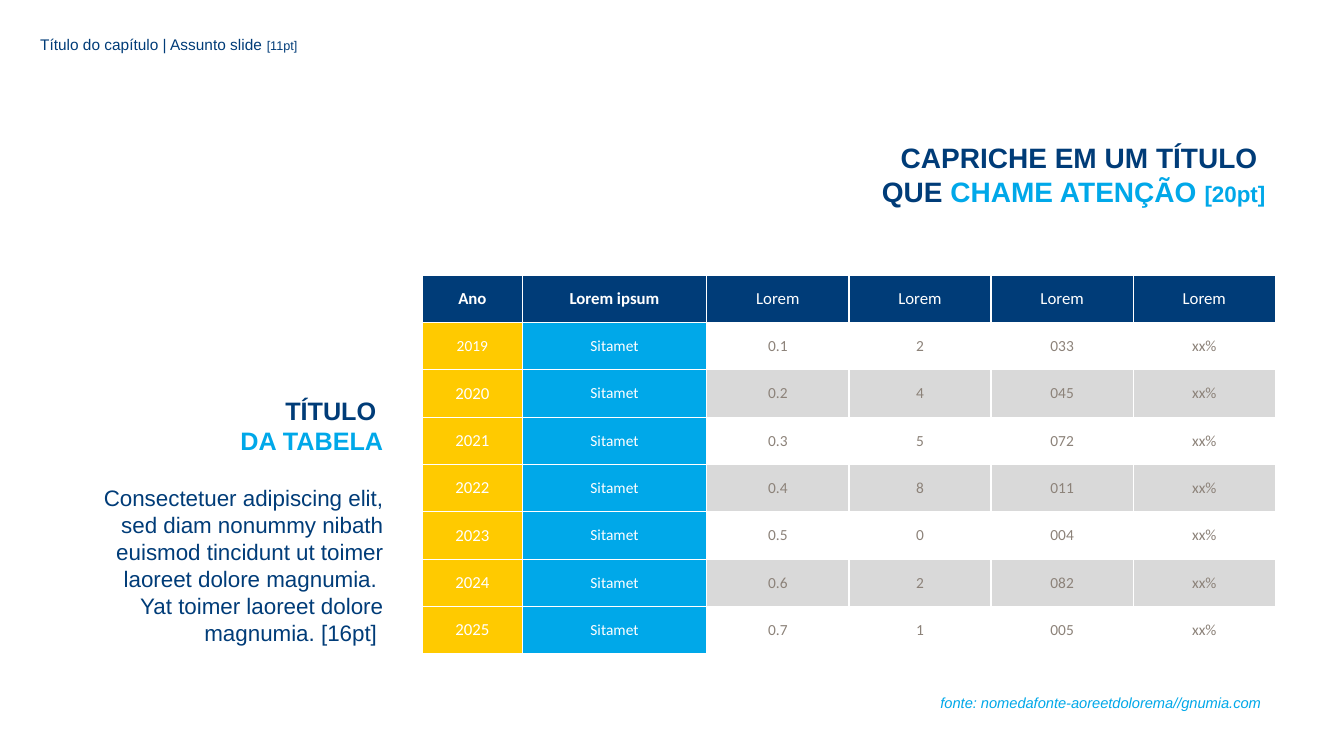
from typing import NamedTuple

from pptx import Presentation
from pptx import util as u
from pptx.dml.color import RGBColor
from pptx.enum import text

PX = 9144  # 100 px to the inch
NAVY, CYAN, YELLOW = "003C78", "00A8E9", "FFCA00"
WHITE, SILVER, TAUPE = "FFFFFF", "D9D9D9", "8C8279"
LEFT, CENTER, RIGHT = text.PP_ALIGN.LEFT, text.PP_ALIGN.CENTER, text.PP_ALIGN.RIGHT


class Style(NamedTuple):
    size: float
    color: str
    bold: bool = False
    italic: bool = False
    face: str = "Arial"


class Piece(NamedTuple):
    words: str
    style: Style


class Line(NamedTuple):
    pieces: list[Piece]
    before: float = 0


class Block(NamedTuple):
    box: tuple[int, int, int, int]
    lines: list[Line]
    align: text.PP_ALIGN = RIGHT
    spacing: float | None = None
    wrap: bool = True


def px(length: int) -> u.Emu:
    return u.Emu(length * PX)


def rgb(color: str) -> RGBColor:
    return RGBColor.from_string(color)


def format_run(run, style: Style) -> None:
    font = run.font
    font.name, font.size = style.face, u.Pt(style.size)
    font.bold, font.italic = style.bold, style.italic
    font.color.rgb = rgb(style.color)


def write(shape, block: Block) -> None:
    shape.left, shape.top, shape.width, shape.height = map(px, block.box)
    frame = shape.text_frame
    frame.word_wrap = block.wrap
    frame.auto_size = text.MSO_AUTO_SIZE.SHAPE_TO_FIT_TEXT
    frame.vertical_anchor = text.MSO_ANCHOR.TOP
    for index, line in enumerate(block.lines):
        paragraph = frame.add_paragraph() if index else frame.paragraphs[0]
        paragraph.alignment = block.align
        if block.spacing:
            paragraph.line_spacing = u.Pt(block.spacing)
        if line.before:
            paragraph.space_before = u.Pt(line.before)
        for piece in line.pieces:
            run = paragraph.add_run()
            run.text = piece.words
            format_run(run, piece.style)


def fill_cell(cell, words: str, fill: str, style: Style) -> None:
    cell.fill.solid()
    cell.fill.fore_color.rgb = rgb(fill)
    cell.vertical_anchor = text.MSO_ANCHOR.MIDDLE
    cell.margin_left = cell.margin_right = px(8)
    cell.margin_top = cell.margin_bottom = px(4)
    paragraph = cell.text_frame.paragraphs[0]
    paragraph.text = words
    paragraph.alignment = CENTER
    format_run(paragraph.runs[0], style)


def cell_look(row: int, column: int) -> tuple[str, Style]:
    if row == 0:
        return NAVY, Style(12, WHITE, bold=column < 2, face="Calibri")
    if column == 0:
        return YELLOW, Style(11 if row == 1 else 12, WHITE, face="Calibri")
    if column == 1:
        return CYAN, Style(11, WHITE, face="Calibri")
    return (WHITE if row % 2 else SILVER), Style(11, TAUPE, face="Calibri")


# Text blocks
headline_navy, headline_cyan = Style(20, NAVY, bold=True), Style(20, CYAN, bold=True)
body = Style(16, NAVY)

headline = Block((510, 133, 755, 78), [
    Line([Piece("CAPRICHE EM UM TÍTULO ", headline_navy)]),
    Line([Piece("QUE ", headline_navy), Piece("CHAME ATENÇÃO ", headline_cyan),
          Piece("[20pt]", Style(16, CYAN, bold=True))]),
], spacing=24.8)
table_caption = Block((60, 387, 330, 263), [
    Line([Piece("TÍTULO ", Style(18, NAVY, bold=True))]),
    Line([Piece("DA TABELA", Style(18, CYAN, bold=True))]),
    Line([Piece("Consectetuer adipiscing elit, sed diam nonummy nibath euismod "
                "tincidunt ut toimer laoreet dolore magnumia. ", body)], before=20.7),
    Line([Piece("Yat toimer laoreet dolore magnumia. [16pt] ", body)]),
])
chapter = Block((30, 30, 304, 29), [
    Line([Piece("Título do capítulo | Assunto slide ", Style(11, NAVY)),
          Piece("[11pt]", Style(9, NAVY))]),
], align=LEFT)
source = Block((917, 683, 348, 28), [
    Line([Piece("fonte: nomedafonte-aoreetdolorema//gnumia.com ",
                Style(10.5, CYAN, italic=True))]),
], wrap=False)

# Table content
header = ["Ano", "Lorem ipsum"] + ["Lorem"] * 4
counts = ["2", "4", "5", "8", "0", "2", "1"]
codes = ["033", "045", "072", "011", "004", "082", "005"]
records = [header] + [
    [str(2019 + i), "Sitamet", f"0.{i + 1}", count, code, "xx%"]
    for i, (count, code) in enumerate(zip(counts, codes))
]
COLUMN_WIDTHS = [99, 183] + [141] * 4
ROW_HEIGHT = 47


def main() -> None:
    deck = Presentation()
    deck.slide_width, deck.slide_height = px(1333), px(750)
    slide = deck.slides.add_slide(deck.slide_layouts[5])

    # Title and text boxes
    write(slide.shapes.title, headline)
    for block in (table_caption, chapter, source):
        write(slide.shapes.add_textbox(*map(px, block.box)), block)

    # Table by year
    years = slide.shapes.add_table(
        len(records), len(header), px(419), px(273),
        px(sum(COLUMN_WIDTHS)), px(ROW_HEIGHT * len(records))).table
    for column, width in zip(years.columns, COLUMN_WIDTHS):
        column.width = px(width)
    for r, record in enumerate(records):
        years.rows[r].height = px(ROW_HEIGHT)
        for c, words in enumerate(record):
            fill_cell(years.cell(r, c), words, *cell_look(r, c))

    deck.save("out.pptx")


if __name__ == "__main__":
    main()
